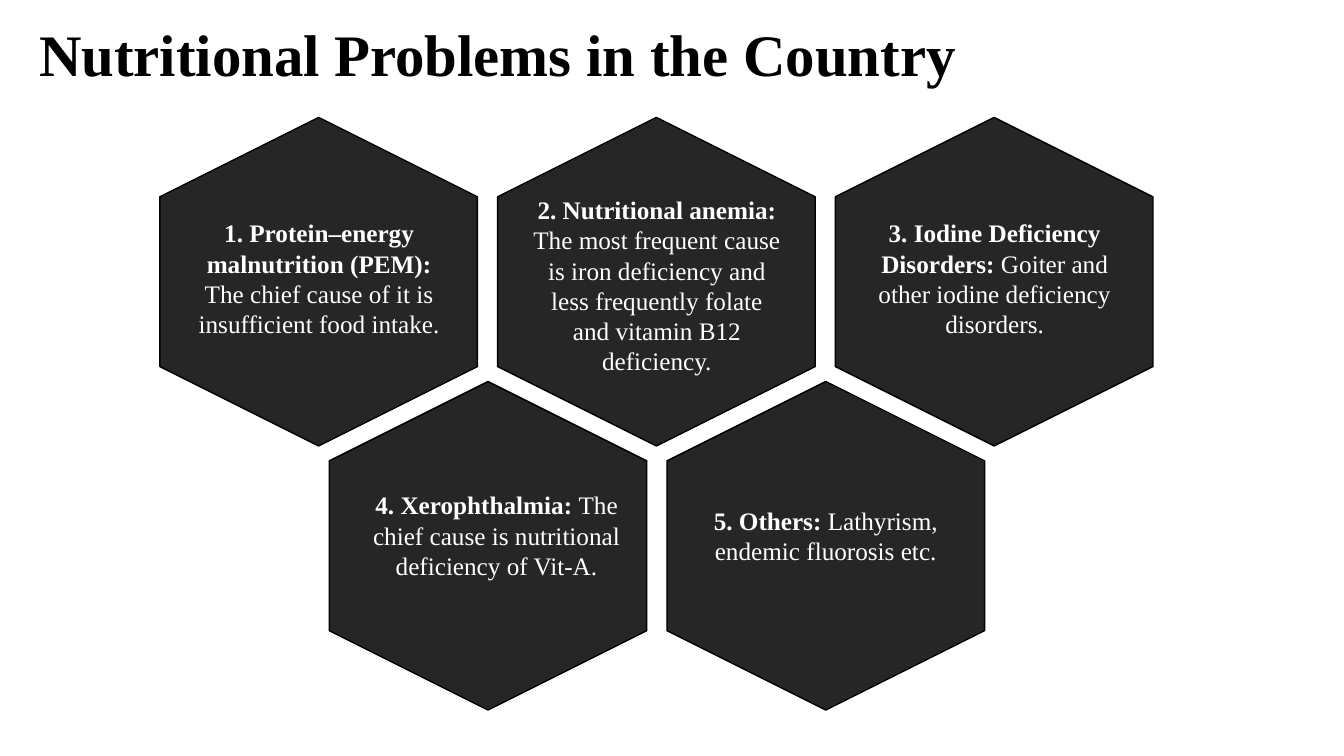
from pptx import Presentation
from pptx.dml.color import RGBColor
from pptx.enum.shapes import MSO_SHAPE
from pptx.enum.text import MSO_ANCHOR, MSO_AUTO_SIZE, PP_ALIGN
from pptx.util import Emu, Pt

HEXAGON = MSO_SHAPE.HEXAGON
TOP = MSO_ANCHOR.TOP
NO_AUTOFIT = MSO_AUTO_SIZE.NONE
CENTER = PP_ALIGN.CENTER

EMU_PER_PX = 9144  # 100 px to the inch
TITLE_ONLY = 5
COLORS = {"black": "000000", "charcoal": "262626", "white": "FFFFFF"}

HEX_LENGTH, HEX_BREADTH = 326, 315
HEX_PITCH = 335
UPPER_LEFT, UPPER_TOP = 153, 122
LOWER_LEFT, LOWER_TOP = UPPER_LEFT + HEX_PITCH // 2 + 1, 384

# Row, column, text box (left, top, width, height), heading, detail
PROBLEMS = [
    ("upper", 0, (184, 211, 265, 131), "1. Protein–energy malnutrition (PEM): ",
     "The chief cause of it is insufficient food intake."),
    ("upper", 1, (519, 188, 265, 192), "2. Nutritional anemia: ",
     "The most frequent cause is iron deficiency and less frequently folate "
     "and vitamin B12 deficiency."),
    ("upper", 2, (854, 211, 265, 131), "3. Iodine Deficiency Disorders: ",
     "Goiter and other iodine deficiency disorders."),
    ("lower", 0, (360, 481, 265, 101), "4. Xerophthalmia: ",
     "The chief cause is nutritional deficiency of Vit-A."),
    ("lower", 1, (695, 496, 248, 71), "5. Others: ",
     "Lathyrism, endemic fluorosis etc."),
]
ROWS = {"upper": (UPPER_LEFT, UPPER_TOP), "lower": (LOWER_LEFT, LOWER_TOP)}


def px(*lengths):
    return [Emu(length * EMU_PER_PX) for length in lengths]


class SlideBuilder:
    font_name = "Times New Roman"
    title_size = 42
    body_size = 18

    def __init__(self, presentation):
        self.slide = presentation.slides.add_slide(
            presentation.slide_layouts[TITLE_ONLY])

    def color(self, name):
        return RGBColor.from_string(COLORS[name])

    def set_text(self, shape, runs, size, color):
        """Fill a shape with one centred paragraph of (text, bold) runs."""
        frame = shape.text_frame
        frame.word_wrap = True
        frame.auto_size = NO_AUTOFIT
        frame.vertical_anchor = TOP
        paragraph = frame.paragraphs[0]
        paragraph.alignment = CENTER
        for text, bold in runs:
            run = paragraph.add_run()
            run.text = text
            run.font.name = self.font_name
            run.font.size = Pt(size)
            run.font.bold = bold
            run.font.color.rgb = self.color(color)

    def title(self, text, left, top, width, height):
        title = self.slide.shapes.title
        title.left, title.top, title.width, title.height = px(
            left, top, width, height)
        self.set_text(title, [(text, True)], self.title_size, "black")

    def hexagon(self, left, top):
        """Add a hexagon turned to stand on its point."""
        shape = self.slide.shapes.add_shape(
            HEXAGON, *px(left, top, HEX_LENGTH, HEX_BREADTH))
        shape.rotation = 90
        shape.shadow.inherit = False
        shape.fill.solid()
        shape.fill.fore_color.rgb = self.color("charcoal")
        shape.line.color.rgb = self.color("black")
        shape.line.width = Pt(1)

    def label(self, box, heading, detail):
        shape = self.slide.shapes.add_textbox(*px(*box))
        self.set_text(shape, [(heading, True), (detail, False)],
                      self.body_size, "white")


def main():
    presentation = Presentation()
    presentation.slide_width, presentation.slide_height = px(1333, 750)
    builder = SlideBuilder(presentation)
    builder.title("Nutritional Problems in the Country", 10, 13, 967, 81)
    for row, column, box, heading, detail in PROBLEMS:
        left, top = ROWS[row]
        builder.hexagon(left + column * HEX_PITCH, top)
        builder.label(box, heading, detail)
    presentation.save("out.pptx")


if __name__ == "__main__":
    main()
